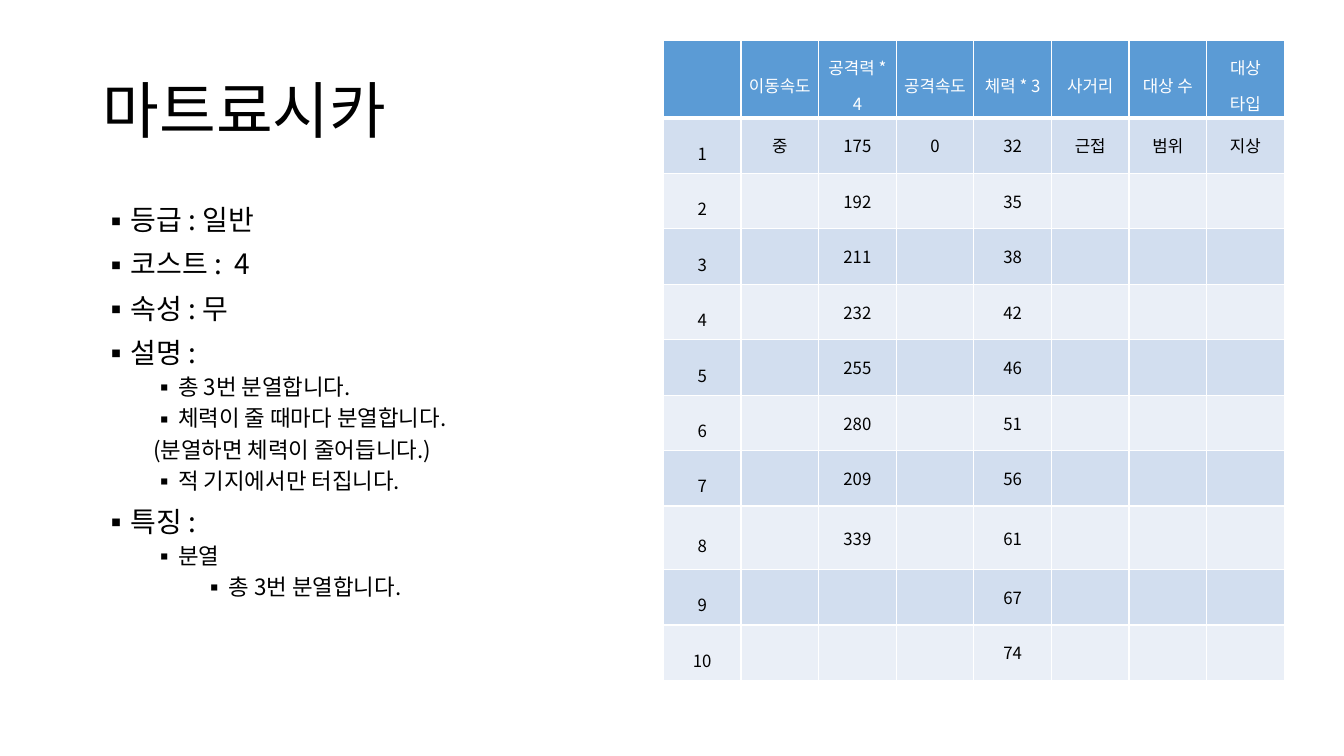
"""Build the unit slide: a title, a bulleted description and a table of stats by level."""
from dataclasses import dataclass

from lxml import etree
from pptx import Presentation
from pptx.dml.color import RGBColor
from pptx.enum.text import MSO_ANCHOR, MSO_AUTO_SIZE, PP_ALIGN
from pptx.oxml.ns import qn
from pptx.util import Inches, Pt

MIDDLE, TOP = MSO_ANCHOR.MIDDLE, MSO_ANCHOR.TOP
CENTER, LEFT = PP_ALIGN.CENTER, PP_ALIGN.LEFT
NO_AUTOFIT = MSO_AUTO_SIZE.NONE
FONT = "Noto Sans CJK KR"
BLACK, WHITE = "000000", "FFFFFF"
HEADER_FILL = "5B9BD5"
BAND_FILLS = ("D2DEEF", "EAEFF7")
COLUMN_WIDTH = 0.77
HEADER_HEIGHT, ROW_HEIGHT, TALL_ROW_HEIGHT = 0.77, 0.55, 0.63
TALL_LEVEL = 8
THIN, THICK = 1, 3


@dataclass(frozen=True)
class Point:
    """A line of the description, with its outline level."""
    text: str
    level: int = 0
    bullet: bool = True


@dataclass(frozen=True)
class Stats:
    """The values of one unit level, blank where they do not change."""
    attack: str = ""
    health: str = ""
    speed: str = ""
    attack_speed: str = ""
    reach: str = ""
    targets: str = ""
    target_type: str = ""

    def cells(self) -> tuple[str, ...]:
        """Return the values in column order."""
        return (self.speed, self.attack, self.attack_speed, self.health,
                self.reach, self.targets, self.target_type)


POINTS = (
    Point("등급 : 일반"),
    Point("코스트 :  4"),
    Point("속성 : 무"),
    Point("설명 :"),
    Point("총 3번 분열합니다.", 1),
    Point("체력이 줄 때마다 분열합니다.", 1),
    Point("(분열하면 체력이 줄어듭니다.)", 1, bullet=False),
    Point("적 기지에서만 터집니다.", 1),
    Point("특징 :"),
    Point("분열", 1),
    Point("총 3번 분열합니다.", 2),
)
HEADERS = ("", "이동속도", "공격력 * 4", "공격속도", "체력 * 3", "사거리", "대상 수", "대상 타입")
LEVELS = (
    Stats("175", "32", "중", "0", "근접", "범위", "지상"),
    Stats("192", "35"),
    Stats("211", "38"),
    Stats("232", "42"),
    Stats("255", "46"),
    Stats("280", "51"),
    Stats("209", "56"),
    Stats("339", "61"),
    Stats(health="67"),
    Stats(health="74"),
)


def color(value: str) -> RGBColor:
    """Turn a hex string into a colour."""
    return RGBColor.from_string(value)


def write(para, text: str, *, size: float, fill: str = BLACK, align=LEFT,
          spacing: float = 1.0, before: float = 0) -> None:
    """Add formatted text to a paragraph."""
    para.alignment = align
    para.line_spacing = spacing
    para.space_before = Pt(before)
    span = para.add_run()
    span.text = text
    span.font.size = Pt(size)
    span.font.name = FONT
    span.font.color.rgb = color(fill)
    east_asian = etree.SubElement(span.font._element, qn("a:ea"))
    east_asian.set("typeface", FONT)


def indent(para, level: int, bullet: bool) -> None:
    """Indent a paragraph by its level, with a hanging square bullet if wanted."""
    hanging = 0.25 if bullet else 0
    para.level = level
    properties = para._p.get_or_add_pPr()
    properties.set("marL", str(Inches(level * 0.5 + hanging)))
    properties.set("indent", str(-Inches(hanging)))
    if bullet:
        etree.SubElement(properties, qn("a:buFont")).set("typeface", FONT)
        etree.SubElement(properties, qn("a:buChar")).set("char", "▪")


def add_borders(cell, top: float, bottom: float) -> None:
    """Draw white lines around a cell."""
    properties = cell._tc.get_or_add_tcPr()
    for side, width in (("L", THIN), ("R", THIN), ("T", top), ("B", bottom)):
        line = etree.SubElement(properties, qn(f"a:ln{side}"), w=str(Pt(width)))
        solid = etree.SubElement(line, qn("a:solidFill"))
        etree.SubElement(solid, qn("a:srgbClr"), val=WHITE)


def fill_cell(cell, text: str, row: int, column: int) -> None:
    """Write and format one cell of the stats table."""
    is_header = row == 0
    add_borders(cell, THICK if row == 1 else THIN, THICK if is_header else THIN)
    cell.fill.solid()
    cell.fill.fore_color.rgb = color(HEADER_FILL if is_header else BAND_FILLS[(row - 1) % 2])
    cell.vertical_anchor = MIDDLE
    tight = is_header or column == 0
    cell.margin_left = cell.margin_right = Inches(0.06 if tight else 0.09)
    cell.margin_top = cell.margin_bottom = Inches(0.02 if tight else 0.05)
    if text:
        spacing = 1.5 if is_header else 1.6 if tight else 1.0
        write(cell.text_frame.paragraphs[0], text, size=12, align=CENTER,
              fill=WHITE if is_header else BLACK, spacing=spacing)


def add_title(page, text: str) -> None:
    """Place and format the title."""
    title = page.shapes.title
    title.left, title.top = Inches(0.92), Inches(0.4)
    title.width, title.height = Inches(11.5), Inches(1.45)
    frame = title.text_frame
    frame.auto_size = NO_AUTOFIT
    frame.vertical_anchor = MIDDLE
    write(frame.paragraphs[0], text, size=44, spacing=0.9)


def add_description(page, points: tuple[Point, ...]) -> None:
    """Add the bulleted description."""
    box = page.shapes.add_textbox(Inches(0.92), Inches(2), Inches(5.67), Inches(4.76))
    frame = box.text_frame
    frame.word_wrap = True
    frame.vertical_anchor = TOP
    for index, point in enumerate(points):
        para = frame.add_paragraph() if index else frame.paragraphs[0]
        write(para, point.text, size=16 if point.level else 20, spacing=0.9,
              before=5 if point.level else 10)
        indent(para, point.level, point.bullet)


def add_stats(page, levels: tuple[Stats, ...]) -> None:
    """Add the table of stats, one row a level."""
    rows = [HEADERS] + [(str(number), *stats.cells()) for number, stats in enumerate(levels, 1)]
    heights = [HEADER_HEIGHT] + [ROW_HEIGHT] * len(levels)
    heights[TALL_LEVEL] = TALL_ROW_HEIGHT
    frame = page.shapes.add_table(len(rows), len(HEADERS), Inches(6.58), Inches(0.4),
                                  Inches(COLUMN_WIDTH * len(HEADERS)), Inches(sum(heights)))
    table = frame.table
    for column in table.columns:
        column.width = Inches(COLUMN_WIDTH)
    for row, (texts, height) in enumerate(zip(rows, heights)):
        table.rows[row].height = Inches(height)
        for column, text in enumerate(texts):
            fill_cell(table.cell(row, column), text, row, column)


def main() -> None:
    """Build and save the deck."""
    deck = Presentation()
    deck.slide_width, deck.slide_height = Inches(13.33), Inches(7.5)
    page = deck.slides.add_slide(deck.slide_layouts.get_by_name("Title Only"))
    add_title(page, "마트료시카")
    add_description(page, POINTS)
    add_stats(page, LEVELS)
    deck.save("out.pptx")


if __name__ == "__main__":
    main()
